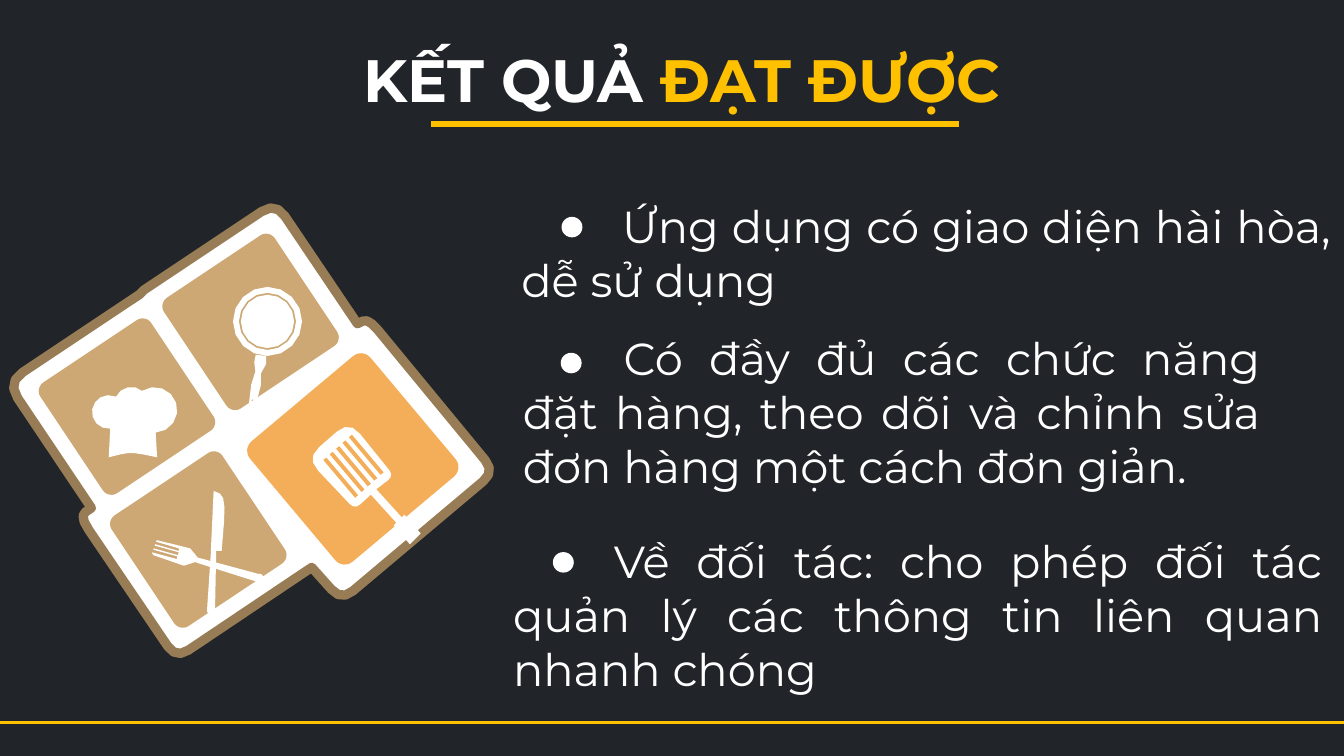
"""Build the results slide with its utensil tray, heading and three findings."""
import dataclasses
import math

import pptx
import pptx.dml.color
import pptx.enum.shapes
import pptx.enum.text
import pptx.oxml
import pptx.util

Pt = pptx.util.Pt
SHAPE = pptx.enum.shapes.MSO_SHAPE
ALIGN = pptx.enum.text.PP_ALIGN


@dataclasses.dataclass(frozen=True)
class Theme:
    """Colours, font and type sizes of the slide."""
    back: str = "212529"
    light: str = "FFFFFF"
    accent: str = "FFC000"
    rim: str = "987C56"
    tile: str = "CDA874"
    hot_tile: str = "F4AE59"
    font: str = "Montserrat"
    title: int = 32
    body: int = 24


THEME = Theme()

TRAY = [(147.6, 108.4, 9), (191.5, 173.5), (197.3, 170.6, 8), (265, 252.7, 8),
        (182.9, 321.8, 8), (167, 304), (94.3, 352.8, 8), (42.5, 276.5, 9),
        (49, 272.2), (3.9, 205, 10), (74.9, 157.7), (77, 155.5)]
TILES = [(32.4, 182.2), (98.6, 136.8), (70.6, 253.4)]
SPATULA = [(187.2, 225.4, 9), (211, 254.9, 4), (201.6, 262.1), (215.3, 277.2),
           (216.7, 275.8), (225.4, 285.8), (219.6, 291.6), (211, 281.5),
           (212.4, 280.1), (198.7, 265), (190.1, 272.9, 4), (164.2, 245.5, 9)]
FORK = [(81.4, 295.9), (94.7, 299.5), (95, 298.1), (82.1, 294.5), (82.4, 293.8),
        (95.3, 297.4), (95.8, 295.9), (82.8, 292.3), (83.2, 291.6), (95.8, 295.2),
        (95.8, 293.8), (83.5, 290.2), (84.2, 289.4), (101.9, 293.8),
        (106, 298.8), (105.1, 301), (98.6, 303.1), (82.1, 297.4)]
BLADE = [(113, 295.2), (118.8, 295.2), (121.2, 266, 14), (114.5, 263)]
MIRROR_HANDLE = [(137, 190), (142.6, 190.8), (142.6, 195), (139.7, 200.2),
                 (139.7, 206.6), (137, 217), (133.4, 216), (134.6, 206),
                 (136.8, 199), (136.2, 194)]
FINDINGS = [
    ("Ứng dụng có giao diện hài hòa, dễ sử dụng", (272.2, 103, 447.8, 65.5), (300.8, 116.2)),
    ("Có đầy đủ các chức năng đặt hàng, theo dõi và chỉnh sửa đơn hàng một cách đơn giản.",
     (273, 173.8, 409.2, 94.3), (300.4, 189)),
    ("Về đối tác: cho phép đối tác quản lý các thông tin liên quan nhanh chóng",
     (267.8, 282.6, 447.6, 94.3), (296.2, 295.8)),
]


def rgb(value):
    """Return a colour from its hex value."""
    return pptx.dml.color.RGBColor.from_string(value)


def arc(cx, cy, radius, start=0, end=360, steps=16):
    """Return points along an arc, with angles in degrees."""
    angles = [math.radians(start + (end - start) * i / steps) for i in range(steps + 1)]
    return [(cx + radius * math.cos(a), cy + radius * math.sin(a)) for a in angles]


def round_corners(corners, steps=3):
    """Return a contour whose corners are cut at their trim distance and curved."""
    points = []
    for i, (x, y, *trim) in enumerate(corners):
        if not trim:
            points.append((x, y))
            continue
        ends = []
        for near in (corners[i - 1], corners[(i + 1) % len(corners)]):
            dx, dy = near[0] - x, near[1] - y
            share = min(trim[0] / math.hypot(dx, dy), 0.5)
            ends.append((x + dx * share, y + dy * share))
        (ax, ay), (bx, by) = ends
        for t in (k / steps for k in range(steps + 1)):
            u = 1 - t
            points.append((u * u * ax + 2 * u * t * x + t * t * bx,
                           u * u * ay + 2 * u * t * y + t * t * by))
    return points


def paint(sp, fill, line=None, width=0):
    """Give a shape its fill and optional outline."""
    sp.shadow.inherit = False
    sp.fill.solid()
    sp.fill.fore_color.rgb = rgb(fill)
    if line:
        sp.line.color.rgb = rgb(line)
        sp.line.width = Pt(width)
    else:
        sp.line.fill.background()


def add_outline(s, contours, **style):
    """Draw one freeform from closed contours; inner ones are holes."""
    builder = None
    for contour in contours:
        points = [(Pt(x), Pt(y)) for x, y in round_corners(contour)]
        if builder is None:
            builder = s.shapes.build_freeform(*points[0])
        else:
            builder.move_to(*points[0])
        builder.add_line_segments(points[1:], close=True)
    paint(builder.convert_to_shape(), THEME.light, **style)


def add_preset(s, kind, box, fill=THEME.light, rotation=0, adjust=None):
    """Draw a filled preset shape."""
    sp = s.shapes.add_shape(kind, *map(Pt, box))
    sp.rotation = rotation
    if adjust is not None:
        sp.adjustments[0] = adjust
    paint(sp, fill)


def add_rule(s, left, right, y, width):
    """Draw a horizontal accent line."""
    line = s.shapes.add_connector(pptx.enum.shapes.MSO_CONNECTOR.STRAIGHT,
                                  Pt(left), Pt(y), Pt(right), Pt(y))
    line.line.color.rgb = rgb(THEME.accent)
    line.line.width = Pt(width)
    props = line._element.spPr
    props.append(pptx.oxml.parse_xml(
        '<a:effectLst xmlns:a="http://schemas.openxmlformats.org/drawingml/2006/main"/>'))


def add_tray(s):
    """Draw the tray and its four tiles."""
    add_outline(s, [TRAY], line=THEME.rim, width=5)
    add_preset(s, SHAPE.ROUNDED_RECTANGLE, (146.9, 203.8, 84.2, 84.2),
               THEME.hot_tile, 50, 0.078)
    for left, top in TILES:
        add_preset(s, SHAPE.ROUNDED_RECTANGLE, (left, top, 71.3, 71.3),
                   THEME.tile, 56.3, 0.078)


def add_utensils(s):
    """Draw the spatula, fork, knife, mirror and chef's hat."""
    slots = []
    for i in range(5):
        dx, dy = -3.42 * i, 3.06 * i
        slots.append([(x + dx, y + dy) for x, y in
                      [(188.6, 232.8), (205.7, 253.1), (203.9, 254.5), (186.8, 234.2)]])
    add_outline(s, [SPATULA, *slots])
    add_preset(s, SHAPE.TRAPEZOID, (120.2, 287.3, 4.3, 35.3), rotation=286.3, adjust=0.172)
    add_preset(s, SHAPE.OVAL, (136.8, 307.4, 4.3, 4.3))
    add_outline(s, [FORK])
    add_preset(s, SHAPE.TRAPEZOID, (111.6, 295.2, 4.3, 32.4), rotation=2.5, adjust=0.172)
    add_preset(s, SHAPE.OVAL, (110.9, 325.4, 4.3, 3.6))
    add_outline(s, [BLADE])
    rings = [arc(143.3, 172.2, radius) for radius in (18.5, 15.3, 14.3)]
    add_outline(s, [*rings, MIRROR_HANDLE, arc(135.4, 214.6, 0.8, steps=4)])
    hat = (arc(82.8, 219.6, 12.2, 87, -123, 8) + arc(70.4, 216.4, 9.1, -49, -155, 4)
           + arc(58.3, 220.7, 9, -67, -275, 8)
           + [(58.3, 245), (70, 242, 8), (84.2, 245)])
    add_outline(s, [hat])


def add_heading(s):
    """Fill the title placeholder in two colours and underline it."""
    sp = s.shapes.title
    sp.left, sp.top, sp.width, sp.height = map(Pt, (23.6, 23.4, 683.3, 42.5))
    tf = sp.text_frame
    tf.auto_size = pptx.enum.text.MSO_AUTO_SIZE.NONE
    tf.vertical_anchor = pptx.enum.text.MSO_ANCHOR.MIDDLE
    p = tf.paragraphs[0]
    p.alignment, p.line_spacing = ALIGN.CENTER, 0.9
    p.font.name, p.font.size, p.font.bold = THEME.font, Pt(THEME.title), True
    for text, colour in (("KẾT QUẢ ", THEME.light), ("ĐẠT ĐƯỢC", THEME.accent)):
        r = p.add_run()
        r.text = text
        r.font.color.rgb = rgb(colour)
    add_rule(s, 231, 514, 66.4, 3)


def add_finding(s, text, box, dot):
    """Add a justified paragraph with an indented first line and its dot."""
    tf = s.shapes.add_textbox(*map(Pt, box)).text_frame
    tf.word_wrap = True
    p = tf.paragraphs[0]
    p.text = text
    p.alignment = ALIGN.JUSTIFY
    p._p.get_or_add_pPr().set("indent", str(Pt(54)))
    p.font.name, p.font.size = THEME.font, Pt(THEME.body)
    p.font.color.rgb = rgb(THEME.light)
    add_preset(s, SHAPE.OVAL, (*dot, 11.2, 11))


def main():
    """Build and save the slide."""
    prs = pptx.Presentation()
    prs.slide_width, prs.slide_height = Pt(720), Pt(405)
    s = prs.slides.add_slide(prs.slide_layouts[5])
    s.background.fill.solid()
    s.background.fill.fore_color.rgb = rgb(THEME.back)
    add_tray(s)
    add_utensils(s)
    add_rule(s, 0, 720, 387.2, 1.5)
    add_heading(s)
    for finding in FINDINGS:
        add_finding(s, *finding)
    prs.save("out.pptx")


if __name__ == "__main__":
    main()
